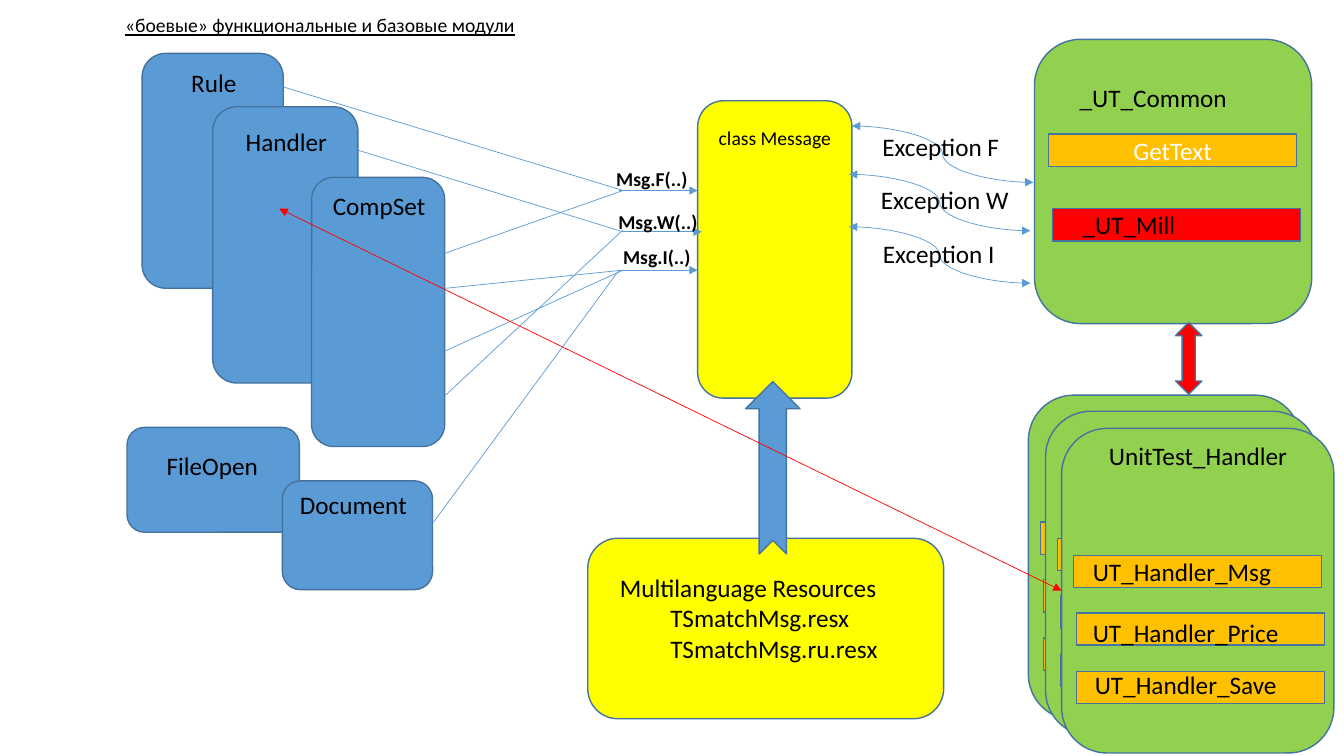
from dataclasses import dataclass

from lxml.etree import SubElement
from pptx import Presentation
from pptx.dml.color import RGBColor
from pptx.enum.shapes import MSO_CONNECTOR as Connector, MSO_SHAPE as Shape
from pptx.enum.text import MSO_ANCHOR as Anchor, MSO_AUTO_SIZE as AutoSize, PP_ALIGN as Align
from pptx.oxml.ns import qn
from pptx.util import Inches, Pt


@dataclass(frozen=True)
class Theme:
    font: str = "Calibri"
    small: int = 14
    normal: int = 18
    outline_width: float = 1
    link_width: float = 0.5
    black: str = "000000"
    white: str = "FFFFFF"
    blue: str = "5B9BD5"
    outline: str = "43739E"
    yellow: str = "FFFF00"
    green: str = "92D050"
    orange: str = "FFC000"
    red: str = "FF0000"


THEME = Theme()


@dataclass(frozen=True)
class Box:
    left: float
    top: float
    width: float
    height: float
    fill: str
    kind: Shape = Shape.ROUNDED_RECTANGLE
    rotation: float = 0


@dataclass(frozen=True)
class Label:
    text: str
    left: float
    top: float
    width: float
    height: float = 0.4
    size: int = THEME.normal
    bold: bool = False
    align: Align = Align.CENTER


@dataclass(frozen=True)
class Link:
    start: tuple[float, float]
    end: tuple[float, float]
    color: str = THEME.blue
    kind: Connector = Connector.STRAIGHT
    arrows: tuple[str, ...] = ()


def style_text(frame, size: int, color: str, align: Align, bold: bool = False) -> None:
    frame.word_wrap = True
    for paragraph in frame.paragraphs:
        paragraph.alignment = align
        paragraph.font.name = THEME.font
        paragraph.font.size = Pt(size)
        paragraph.font.bold = bold
        paragraph.font.color.rgb = RGBColor.from_string(color)


def draw_box(slide, box: Box):
    shape = slide.shapes.add_shape(
        box.kind, Inches(box.left), Inches(box.top), Inches(box.width), Inches(box.height))
    shape.shadow.inherit = False
    shape.rotation = box.rotation
    shape.fill.solid()
    shape.fill.fore_color.rgb = RGBColor.from_string(box.fill)
    shape.line.color.rgb = RGBColor.from_string(THEME.outline)
    shape.line.width = Pt(THEME.outline_width)
    return shape


def draw_label(slide, label: Label):
    shape = slide.shapes.add_textbox(
        Inches(label.left), Inches(label.top), Inches(label.width), Inches(label.height))
    frame = shape.text_frame
    frame.text = label.text
    frame.auto_size = AutoSize.SHAPE_TO_FIT_TEXT
    style_text(frame, label.size, THEME.black, label.align, label.bold)
    return shape


def draw_link(slide, link: Link) -> None:
    points = [Inches(value) for value in (*link.start, *link.end)]
    connector = slide.shapes.add_connector(link.kind, *points)
    connector.line.color.rgb = RGBColor.from_string(link.color)
    connector.line.width = Pt(THEME.link_width)
    for arrow in link.arrows:
        SubElement(connector.line._get_or_add_ln(), qn(f"a:{arrow}"), type="triangle")
    SubElement(connector._element.spPr, qn("a:effectLst"))


def draw_bar(slide, left: float, top: float, fill: str = THEME.orange):
    return draw_box(slide, Box(left, top, 2.46, 0.32, fill, Shape.RECTANGLE))


def draw_title(slide) -> None:
    title = slide.shapes.title
    title.left, title.top = Inches(1.14), Inches(0.08)
    title.width, title.height = Inches(4.29), Inches(0.34)
    frame = title.text_frame
    frame.text = "«боевые» функциональные и базовые модули"
    frame.auto_size = AutoSize.SHAPE_TO_FIT_TEXT
    frame.vertical_anchor = Anchor.TOP
    style_text(frame, THEME.small, THEME.black, Align.LEFT)
    frame.paragraphs[0].font.underline = True


def draw_modules(slide) -> None:
    for place in ((1.41, 0.53, 1.4, 2.33), (2.11, 1.06, 1.44, 2.74), (3.09, 1.76, 1.32, 2.67),
                  (1.26, 4.24, 1.71, 1.04), (2.8, 4.77, 1.49, 1.08)):
        draw_box(slide, Box(*place, THEME.blue))
    for label in (Label("Rule", 1.43, 0.62, 1.38), Label("Handler", 2.28, 1.2, 1.12),
                  Label("CompSet", 3.11, 1.84, 1.3), Label("FileOpen", 1.41, 4.42, 1.39),
                  Label("Document", 2.77, 4.81, 1.47)):
        draw_label(slide, label)


def draw_messages(slide) -> None:
    draw_box(slide, Box(6.92, 1, 1.53, 2.95, THEME.yellow))
    draw_label(slide, Label("class Message", 7.03, 1.2, 1.42, 0.34, THEME.small, align=Align.LEFT))
    for left, level in ((6.14, 1.89), (6.18, 2.3), (6.14, 2.68)):
        draw_link(slide, Link((left, level), (left + 0.78, level), arrows=("tailEnd",)))
    for text, left, top, width in (("Msg.F(..)", 5.97, 1.61, 0.99), ("Msg.W(..)", 6.02, 2.03, 1.01),
                                   ("Msg.I(..)", 6.05, 2.38, 0.93)):
        draw_label(slide, Label(text, left, top, width, 0.34, THEME.small, True))
    for start, end in (((4.42, 2.51), (6.18, 1.89)), ((4.42, 2.86), (6.18, 2.68)),
                       ((4.42, 3.92), (6.18, 2.28)), ((4.42, 3.48), (6.18, 2.68)),
                       ((3.55, 1.49), (6.18, 2.3)), ((2.8, 0.86), (6.18, 1.89)),
                       ((4.3, 5.18), (6.14, 2.68))):
        draw_link(slide, Link(start, end))


def draw_common_tests(slide) -> None:
    draw_box(slide, Box(10.26, 0.39, 2.75, 2.82, THEME.green))
    draw_label(slide, Label("_UT_Common", 10.61, 0.77, 2.2, align=Align.LEFT))
    get_text = draw_bar(slide, 10.4, 1.33)
    get_text.text_frame.text = "GetText"
    get_text.text_frame.vertical_anchor = Anchor.MIDDLE
    style_text(get_text.text_frame, THEME.normal, THEME.white, Align.CENTER)
    draw_bar(slide, 10.44, 2.07, THEME.red)
    draw_label(slide, Label("_UT_Mill", 10.64, 2.03, 2.03, align=Align.LEFT))


def draw_exceptions(slide) -> None:
    for text, left, top, curve_left, curve_top in (
            ("Exception F", 8.57, 1.25, 8.45, 1.25), ("Exception W", 8.61, 1.78, 8.42, 1.73),
            ("Exception I", 8.55, 2.32, 8.42, 2.25)):
        draw_link(slide, Link((curve_left, curve_top), (curve_left + 1.8, curve_top + 0.56),
                              kind=Connector.CURVE, arrows=("headEnd", "tailEnd")))
        draw_label(slide, Label(text, left, top, 1.52))


def draw_unit_tests(slide) -> None:
    for left, top in ((10.2, 3.92), (10.37, 4.08), (10.53, 4.25)):
        draw_box(slide, Box(left, top, 2.7, 3.22, THEME.green))
        draw_label(slide, Label("UnitTest_Handler", left + 0.37, top + 0.07, 2.16, align=Align.LEFT))
        for shift, drop in ((0.15, 1.83), (0.12, 1.26), (0.15, 2.41)):
            draw_bar(slide, left + shift, top + drop)
    for text, left, top in (("UT_Handler_Msg", 10.74, 5.47), ("UT_Handler_Price", 10.74, 6.08),
                            ("UT_Handler_Save", 10.76, 6.59)):
        draw_label(slide, Label(text, left, top, 2.29, align=Align.LEFT))


def draw_resources(slide) -> None:
    draw_box(slide, Box(5.83, 5.34, 3.53, 1.79, THEME.yellow))
    resources = draw_label(slide, Label(
        "Multilanguage Resources\nTSmatchMsg.resx\nTSmatchMsg.ru.resx",
        6.05, 5.63, 3.15, 1.01, align=Align.LEFT))
    for paragraph in resources.text_frame.paragraphs[1:]:
        paragraph.level = 1
    draw_box(slide, Box(6.81, 4.37, 1.71, 0.54, THEME.blue, Shape.NOTCHED_RIGHT_ARROW, 270))


def main() -> None:
    presentation = Presentation()
    presentation.slide_width, presentation.slide_height = Inches(13.33), Inches(7.5)
    slide = presentation.slides.add_slide(presentation.slide_layouts.get_by_name("Title Only"))
    draw_title(slide)
    draw_modules(slide)
    draw_messages(slide)
    draw_common_tests(slide)
    draw_box(slide, Box(11.66, 3.2, 0.26, 0.71, THEME.red, Shape.UP_DOWN_ARROW))
    draw_exceptions(slide)
    draw_unit_tests(slide)
    draw_resources(slide)
    draw_link(slide, Link((2.77, 2.07), (10.53, 5.86), THEME.red, arrows=("headEnd", "tailEnd")))
    presentation.save("out.pptx")


if __name__ == "__main__":
    main()
